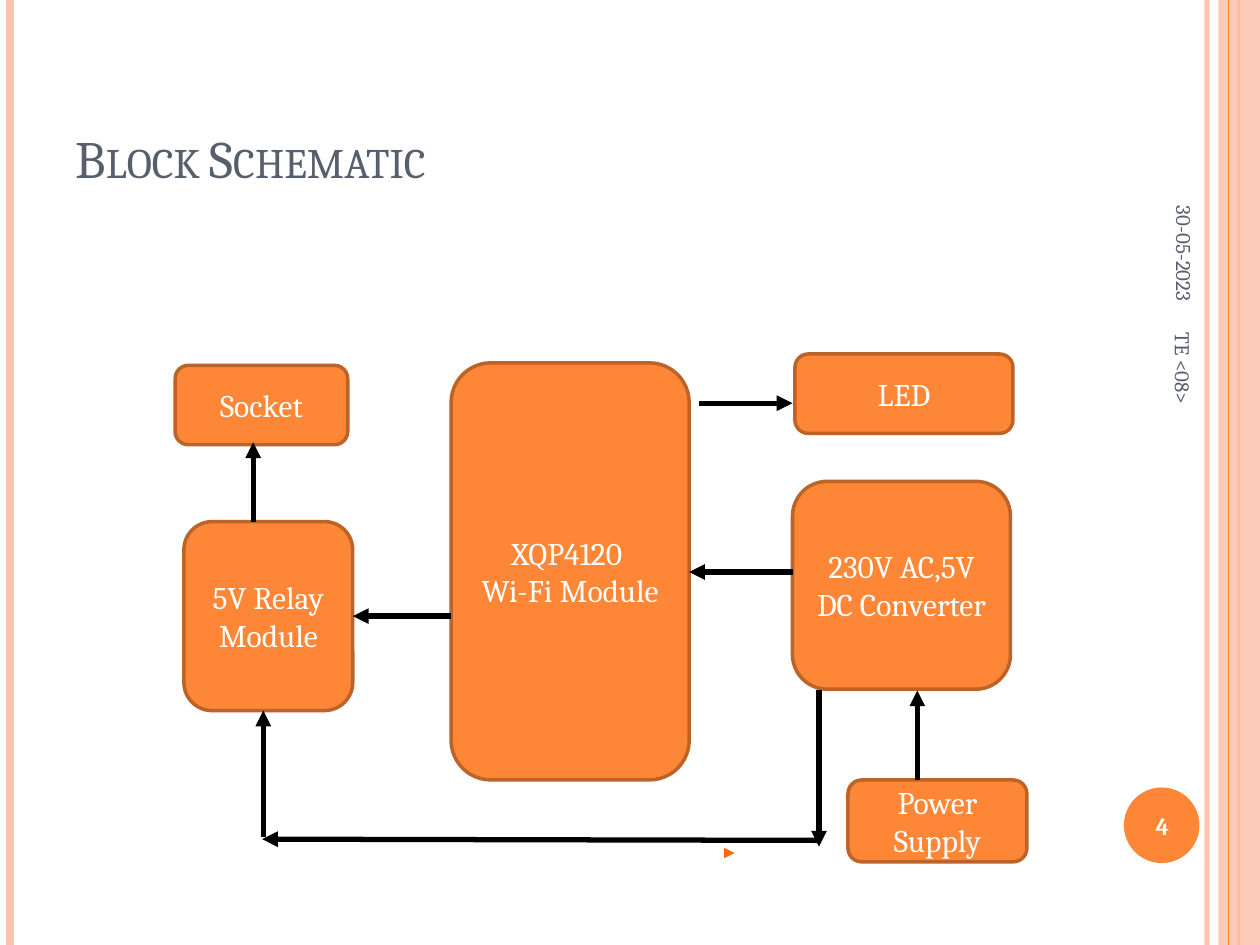
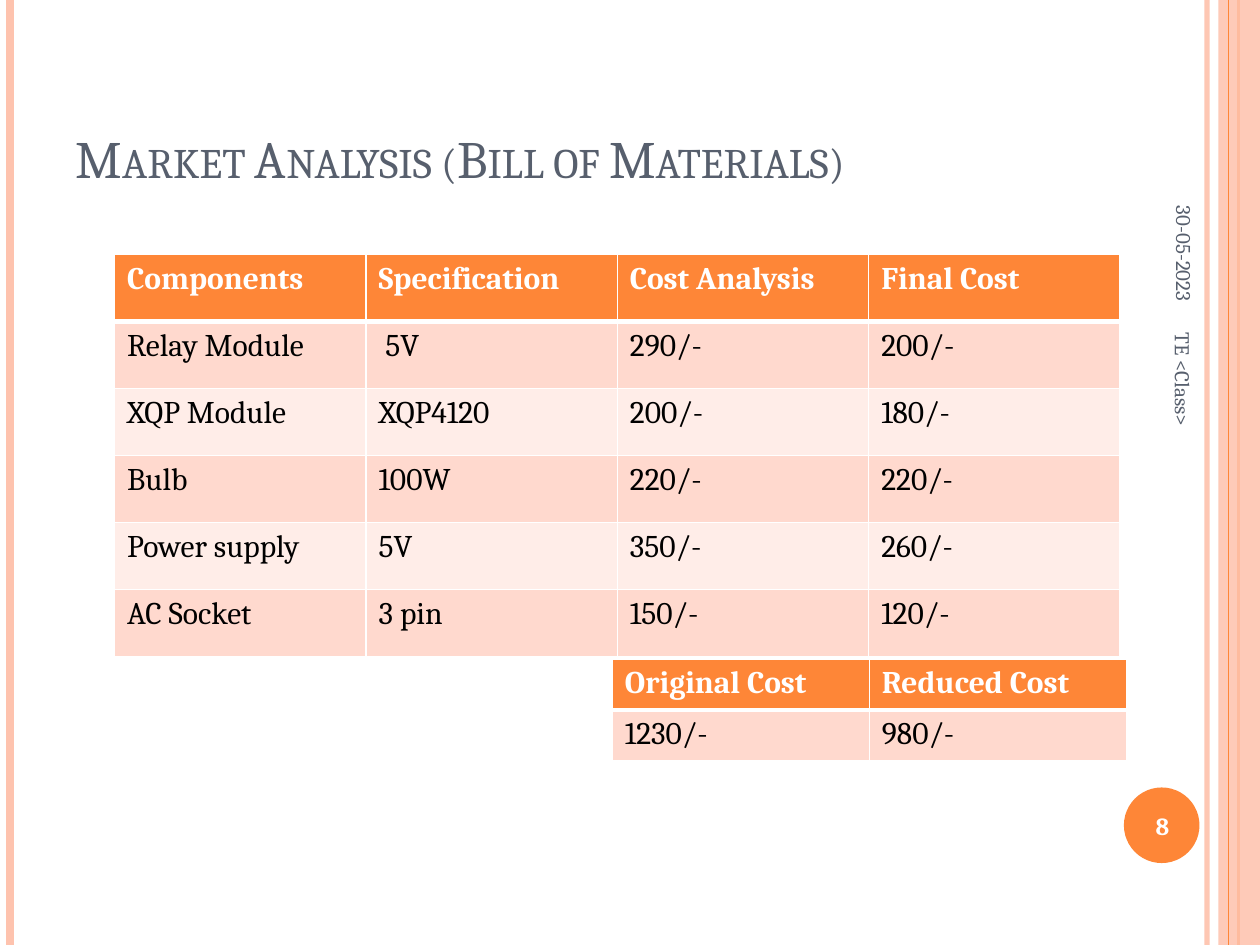
import dataclasses

import lxml.etree
import pptx
import pptx.dml.color
import pptx.enum.shapes
import pptx.enum.text
import pptx.oxml.ns
import pptx.util

Inches = pptx.util.Inches
Align = pptx.enum.text.PP_ALIGN
Anchor = pptx.enum.text.MSO_ANCHOR
Preset = pptx.enum.shapes.MSO_SHAPE
qn = pptx.oxml.ns.qn


@dataclasses.dataclass(frozen=True)
class Theme:
    font: str = "Cambria"
    orange: str = "FE8637"
    outline: str = "BC6329"
    peach: str = "FEC3AE"
    marker: str = "FF6B0A"
    slate: str = "575F6D"
    white: str = "FFFFFF"
    black: str = "000000"
    bands: tuple = ("FFD9CE", "FFEDE8")
    title_size: int = 30
    body_size: int = 18
    number_size: int = 14
    side_size: int = 12


@dataclasses.dataclass(frozen=True)
class Box:
    left: float
    top: float
    width: float
    height: float

    def inches(self):
        return [Inches(value) for value in dataclasses.astuple(self)]

    def inner(self, left, top, width, height):
        return Box(self.left + left, self.top + top, width, height)


THEME = Theme()
PAGE = Box(0, 0, 10, 7.5)
TITLE_BOX = Box(0.5, 0.3, 8.17, 1.25)
SIDE_BAND = Box(9.58, 0, 0.42, 7.5)
NUMBER_BOX = Box(8.92, 6.25, 0.6, 0.6)
DATE_BOX = Box(8.3, 1.18, 2.2, 0.42)
CLASS_BOX = Box(7.64, 4.09, 3.5, 0.4)
DIAGRAM_BOX = Box(1.39, 2.81, 6.76, 4.03)
MATERIALS_BOX = Box(0.91, 2.02, 7.98, 3.19)
TOTALS_BOX = Box(4.86, 5.23, 4.08, 0.81)

BLOCKS = [
    ("XQP4120 \nWi-Fi Module", (2.19, 0.07, 1.89, 3.31)),
    ("LED", (4.92, 0, 1.73, 0.63)),
    ("230V AC,5V DC Converter", (4.9, 1.01, 1.73, 1.65)),
    ("Power Supply", (5.34, 3.38, 1.42, 0.65)),
    ("5V Relay Module", (0.07, 1.33, 1.34, 1.5)),
    ("Socket", (0, 0.09, 1.37, 0.63)),
]
ARROWS = [
    ((0.62, 1.33), (0.62, 0.7)),
    ((4.16, 0.39), (4.9, 0.39)),
    ((4.9, 1.73), (4.08, 1.73)),
    ((5.89, 3.38), (5.89, 2.67)),
    ((2.19, 2.08), (1.41, 2.08)),
    ((5.11, 3.86), (0.69, 3.85)),
    ((5.11, 2.67), (5.11, 3.91)),
    ((0.7, 3.83), (0.7, 2.83)),
]
MARKER = ((4.37, 3.96), (4.44, 3.96))
MATERIALS = [
    ("Components", "Specification", "Cost Analysis", "Final Cost"),
    ("Relay Module", " 5V", "290/-", "200/-"),
    ("XQP Module", "XQP4120", "200/-", "180/-"),
    ("Bulb", "100W", "220/-", "220/-"),
    ("Power supply", "5V", "350/-", "260/-"),
    ("AC Socket", "3 pin", "150/-", "120/-"),
]
TOTALS = [("Original Cost", "Reduced Cost"), ("1230/-", "980/-")]


def rgb(value):
    return pptx.dml.color.RGBColor.from_string(value)


def set_opacity(fill_parent, percent):
    color = fill_parent.find(qn("a:solidFill")).find(qn("a:srgbClr"))
    lxml.etree.SubElement(color, qn("a:alpha"), val=str(percent * 1000))


def write_text(text_frame, text, size, color, bold=False, align=Align.LEFT):
    text_frame.text = text
    text_frame.word_wrap = True
    for paragraph in text_frame.paragraphs:
        paragraph.alignment = align
        for run in paragraph.runs:
            font = run.font
            font.name = THEME.font
            font.size = pptx.util.Pt(size)
            font.bold = bold
            font.color.rgb = rgb(color)


def add_label(slide, box, text, size, color, rotation=0, **style):
    label = slide.shapes.add_textbox(*box.inches())
    label.rotation = rotation
    label.text_frame.vertical_anchor = Anchor.MIDDLE
    write_text(label.text_frame, text, size, color, **style)


def add_filled_shape(slide, preset, box, color, outline=None):
    shape = slide.shapes.add_shape(preset, *box.inches())
    shape.shadow.inherit = False
    shape.fill.solid()
    shape.fill.fore_color.rgb = rgb(color)
    if outline:
        shape.line.color.rgb = rgb(outline)
        shape.line.width = pptx.util.Pt(2)
    else:
        shape.line.fill.background()
    return shape


def add_line(slide, box, start, end, color, width, arrow=False, opacity=100):
    points = [Inches(value) for x, y in (start, end) for value in (box.left + x, box.top + y)]
    line = slide.shapes.add_connector(pptx.enum.shapes.MSO_CONNECTOR.STRAIGHT, *points)
    line.line.color.rgb = rgb(color)
    line.line.width = pptx.util.Pt(width)
    properties = line.line._get_or_add_ln()
    if opacity < 100:
        set_opacity(properties, opacity)
    if arrow:
        lxml.etree.SubElement(properties, qn("a:tailEnd"), type="triangle")
    lxml.etree.SubElement(line._element.spPr, qn("a:effectLst"))


def add_side_band(slide, box):
    def rule(x, color, width, opacity=100):
        add_line(slide, box, (x, 0), (x, box.height), color, width, opacity=opacity)

    rule(0, THEME.peach, 3, 93)
    rule(0.25, THEME.orange, 1.5)
    panel = add_filled_shape(slide, Preset.RECTANGLE, box.inner(0.09, 0, 0.33, box.height), THEME.peach)
    set_opacity(panel._element.spPr, 87)
    rule(0.17, THEME.orange, 0.75)


def add_page_number(slide, box, number):
    add_filled_shape(slide, Preset.OVAL, box, THEME.orange)
    add_label(slide, box.inner(-0.03, 0.02, 0.67, 0.57), number, THEME.number_size,
              THEME.white, bold=True, align=Align.CENTER)


def add_title(slide, box, text):
    title = slide.shapes.title
    title.left, title.top, title.width, title.height = box.inches()
    title.text_frame.vertical_anchor = Anchor.BOTTOM
    write_text(title.text_frame, text, THEME.title_size, THEME.slate)
    for run in title.text_frame.paragraphs[0].runs:
        run.font._element.set("cap", "small")


def add_base_slide(presentation, title, number, class_name):
    slide = presentation.slides.add_slide(presentation.slide_layouts[5])
    add_side_band(slide, SIDE_BAND)
    add_line(slide, PAGE, (0.08, 0), (0.08, PAGE.height), THEME.peach, 4.5)
    add_title(slide, TITLE_BOX, title)
    add_page_number(slide, NUMBER_BOX, number)
    add_label(slide, DATE_BOX, "30-05-2023", THEME.side_size, THEME.slate, 90, align=Align.RIGHT)
    add_label(slide, CLASS_BOX, class_name, THEME.side_size, THEME.slate, 90)
    return slide


def add_block_diagram(slide, box):
    for text, place in BLOCKS:
        block = add_filled_shape(slide, Preset.ROUNDED_RECTANGLE, box.inner(*place),
                                 THEME.orange, THEME.outline)
        block.text_frame.vertical_anchor = Anchor.MIDDLE
        write_text(block.text_frame, text, THEME.body_size, THEME.white, align=Align.CENTER)
    add_line(slide, box, *MARKER, THEME.marker, 1, arrow=True)
    for start, end in ARROWS:
        add_line(slide, box, start, end, THEME.black, 3, arrow=True)


def set_cell_borders(cell, top, bottom):
    properties = cell._tc.get_or_add_tcPr()
    for index, (side, width) in enumerate((("L", 1), ("R", 1), ("T", top), ("B", bottom))):
        border = lxml.etree.Element(qn(f"a:ln{side}"), w=str(pptx.util.Pt(width)))
        fill = lxml.etree.SubElement(border, qn("a:solidFill"))
        lxml.etree.SubElement(fill, qn("a:srgbClr"), val=THEME.white)
        properties.insert(index, border)


def add_cost_table(slide, box, rows):
    frame = slide.shapes.add_table(len(rows), len(rows[0]), *box.inches())
    table = frame.table
    table.horz_banding = False
    for row_index, row in enumerate(rows):
        header = row_index == 0
        color = THEME.orange if header else THEME.bands[(row_index - 1) % 2]
        for column_index, text in enumerate(row):
            cell = table.cell(row_index, column_index)
            cell.fill.solid()
            cell.fill.fore_color.rgb = rgb(color)
            set_cell_borders(cell, 3 if row_index == 1 else 1, 3 if header else 1)
            write_text(cell.text_frame, text, THEME.body_size,
                       THEME.white if header else THEME.black, bold=header)


def main():
    presentation = pptx.Presentation()
    presentation.slide_width = Inches(PAGE.width)
    presentation.slide_height = Inches(PAGE.height)

    schematic = add_base_slide(presentation, "Block Schematic", "4", "TE <08>")
    add_block_diagram(schematic, DIAGRAM_BOX)

    analysis = add_base_slide(presentation, "Market Analysis (Bill of Materials)", "8", "TE <Class>")
    add_cost_table(analysis, MATERIALS_BOX, MATERIALS)
    add_cost_table(analysis, TOTALS_BOX, TOTALS)

    presentation.save("out.pptx")


if __name__ == "__main__":
    main()
